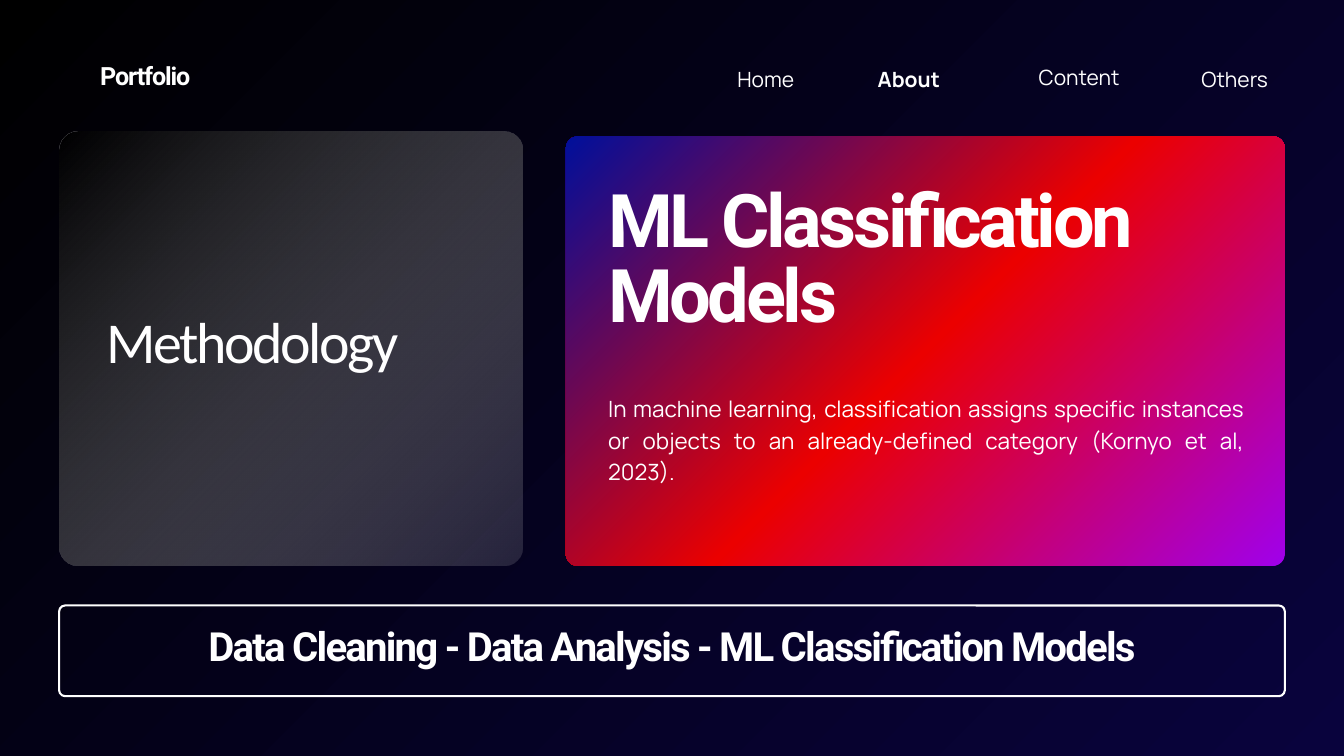
from pptx import Presentation
from pptx.dml.color import RGBColor
from pptx.enum.shapes import MSO_SHAPE
from pptx.enum.text import MSO_AUTO_SIZE, PP_ALIGN
from pptx.oxml import parse_xml
from pptx.oxml.ns import nsdecls, qn
from pptx.util import Inches, Pt

ROUNDED = MSO_SHAPE.ROUNDED_RECTANGLE
GROW = MSO_AUTO_SIZE.SHAPE_TO_FIT_TEXT
LEFT, CENTER, RIGHT, JUSTIFY = (PP_ALIGN.LEFT, PP_ALIGN.CENTER,
                                PP_ALIGN.RIGHT, PP_ALIGN.JUSTIFY)

COLORS = {"white": "FFFFFF", "black": "000000", "night": "09033D",
          "grey": "DDDDDD", "blue": "000F9B", "red": "EB0000",
          "purple": "A000EB"}

WIDTH, HEIGHT = 20, 11.25
MARGIN = 0.88
INNER = WIDTH - 2 * MARGIN
PANEL_BOTTOM = 8.42
MODELS_X, MODELS_TEXT_X = 8.42, 9.05

# Gradient stops: position %, colour, opacity %
CORNER = '<a:path path="circle"><a:fillToRect r="100000" b="100000"/></a:path>'
DIAGONAL = '<a:lin ang="2700000" scaled="0"/>'
BACKDROP = ([(0, "black", 100), (100, "night", 100)], CORNER)
GLASS = ([(0, "black", 78), (100, "grey", 15)], DIAGONAL)
VIVID = ([(0, "blue", 100), (50, "red", 100), (100, "purple", 100)], CORNER)

# left, top, width, height, corner radius, gradient (None = outline only)
PANELS = [
    (MARGIN, 1.96, 6.89, PANEL_BOTTOM - 1.96, 0.28, GLASS),
    (MODELS_X, 2.03, WIDTH - MARGIN - MODELS_X, PANEL_BOTTOM - 2.03, 0.18, VIVID),
    (MARGIN, 9.01, INNER, 1.35, 0.09, None),
]

# font, size, bold, letter spacing, line height (points)
STYLES = {
    "nav": ("Manrope", 22.5, False, 0, 31.5),
    "nav_on": ("Manrope", 22.5, True, 0, 31.5),
    "body": ("Manrope", 24, False, 0, 33.5),
    "title": ("Roboto", 79.2, True, -3.6, 80.8),
    "section": ("Calibri", 62, False, -2.7, 86.8),
    "steps": ("Roboto", 43, True, -1.9, 43.8),
    "brand": ("Roboto", 26.9, True, -1.2, 37.6),
}

# text, style, alignment, left, top, width, height
TEXTS = [
    ("Home", "nav", RIGHT, 10, 0.92, 1.82, 0.45),
    ("About", "nav_on", CENTER, 12.48, 0.92, 2.09, 0.45),
    ("Content", "nav", CENTER, 15.01, 0.9, 2.1, 0.45),
    ("Others", "nav", RIGHT, 16.44, 0.92, 2.43, 0.45),
    ("In machine learning, classification assigns specific instances or "
     "objects to an already-defined category (Kornyo et al, 2023).",
     "body", JUSTIFY, MODELS_TEXT_X, 5.82, 9.46, 1.38),
    ("ML Classification Models", "title", LEFT, MODELS_TEXT_X, 2.78, 9.47, 2.37),
    ("Methodology", "section", LEFT, 1.59, 4.38, 5.47, 1.16),
    ("Data Cleaning - Data Analysis - ML Classification Models",
     "steps", CENTER, 1.04, 9.36, 17.92, 0.68),
    ("Portfolio", "brand", LEFT, 1.49, 0.83, 3.26, 0.54),
]


def rgb(name):
    return RGBColor.from_string(COLORS[name])


def set_gradient(fill, root, gradient):
    """Give fill, found below the XML element root, the stops and direction."""
    stops, direction = gradient
    fill.gradient()
    old = next(root.iter(qn("a:gradFill")))
    gs = "".join(
        f'<a:gs pos="{pos * 1000}"><a:srgbClr val="{COLORS[color]}">'
        f'<a:alpha val="{alpha * 1000}"/></a:srgbClr></a:gs>'
        for pos, color, alpha in stops)
    new = parse_xml(f'<a:gradFill {nsdecls("a")} rotWithShape="1">'
                    f'<a:gsLst>{gs}</a:gsLst>{direction}</a:gradFill>')
    old.getparent().replace(old, new)


def add_panel(slide, x, y, w, h, radius, gradient):
    sp = slide.shapes.add_shape(ROUNDED, *map(Inches, (x, y, w, h)))
    sp.adjustments[0] = radius / min(w, h)
    sp.shadow.inherit = False
    if gradient:
        set_gradient(sp.fill, sp.element, gradient)
        sp.line.fill.background()
    else:
        sp.fill.background()
        sp.line.color.rgb = rgb("white")
        sp.line.width = Pt(2.25)


def add_text(slide, text, style, align, *box):
    font, size, bold, spacing, line_height = STYLES[style]
    tf = slide.shapes.add_textbox(*map(Inches, box)).text_frame
    tf.word_wrap = True
    tf.auto_size = GROW
    tf.margin_left = tf.margin_top = tf.margin_right = tf.margin_bottom = 0
    p = tf.paragraphs[0]
    p.alignment = align
    p.line_spacing = Pt(line_height)
    r = p.add_run()
    r.text = text
    r.font.name = font
    r.font.size = Pt(size)
    r.font.bold = bold
    r.font.color.rgb = rgb("white")
    if spacing:
        r.font._element.set("spc", str(round(spacing * 100)))


def main():
    prs = Presentation()
    prs.slide_width, prs.slide_height = Inches(WIDTH), Inches(HEIGHT)
    slide = prs.slides.add_slide(prs.slide_layouts[6])
    set_gradient(slide.background.fill, slide.element, BACKDROP)
    for panel in PANELS:
        add_panel(slide, *panel)
    for item in TEXTS:
        add_text(slide, *item)
    prs.save("out.pptx")


if __name__ == "__main__":
    main()
